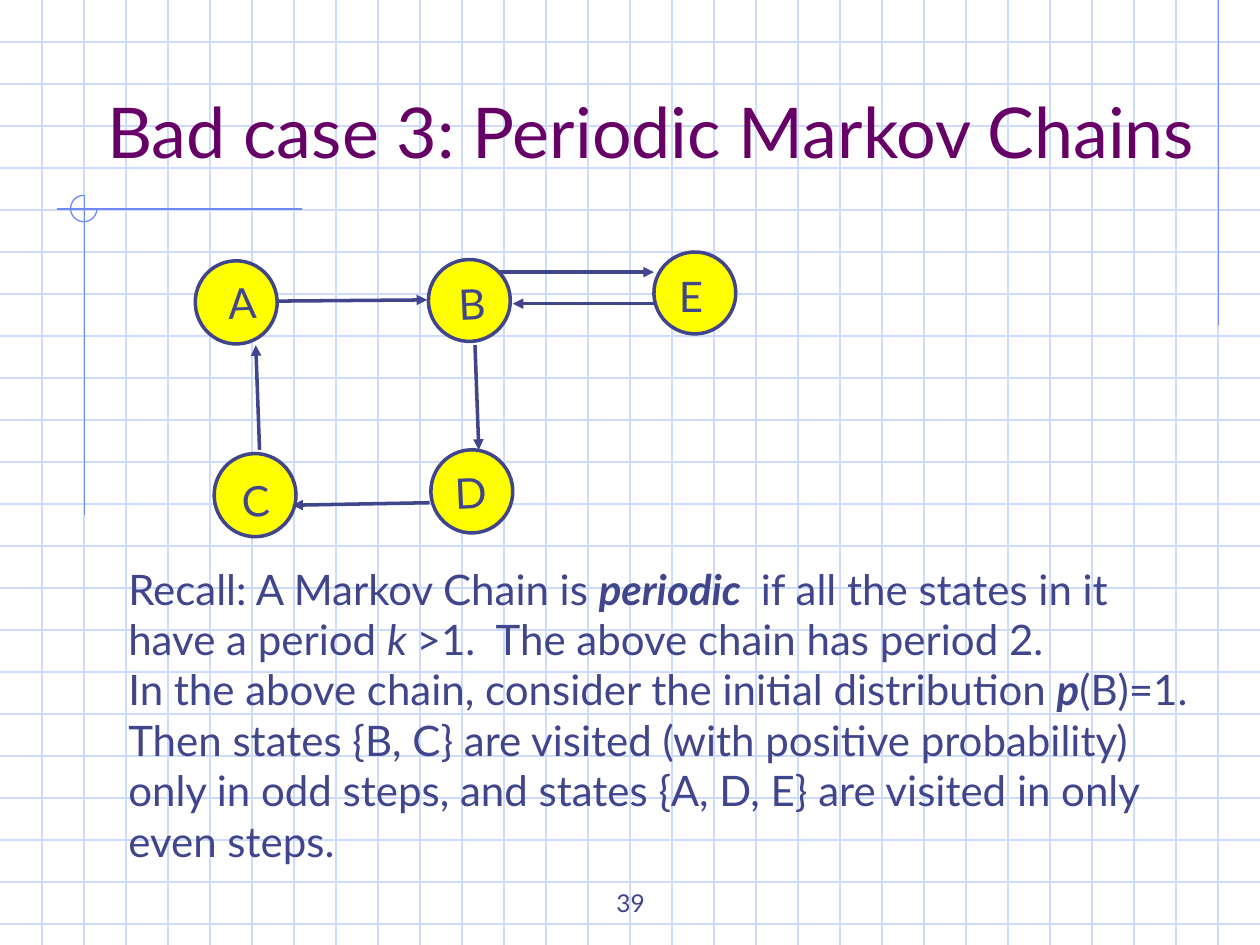
from typing import NamedTuple

from lxml.etree import SubElement
from pptx import Presentation
from pptx.dml.color import RGBColor as Rgb
from pptx.enum.shapes import MSO_CONNECTOR as Conn, MSO_SHAPE as Form
from pptx.enum.text import MSO_ANCHOR as Anchor, MSO_AUTO_SIZE as Fit, PP_ALIGN as Align
from pptx.oxml.ns import qn
from pptx.slide import Slide
from pptx.util import Inches, Pt

COLORS = {"grid": "CFDBFD", "trim": "6F89F7", "ink": "40458C",
          "title": "660066", "node": "FFFF00"}
FONT = "Lato"
WIDTH, HEIGHT = 10, 7.5
STEP = 1 / 3
TILT = -2.5


class Node(NamedTuple):
    name: str
    left: float
    top: float
    tall: float
    text_x: float
    text_y: float
    turn: float = TILT


class Line(NamedTuple):
    x1: float
    y1: float
    x2: float
    y2: float


class Run(NamedTuple):
    text: str
    bold: bool = False
    italic: bool = False


NODES = [
    Node("A", 1.55, 2.07, 0.66, 1.71, 2.15),
    Node("B", 3.4, 2.06, 0.65, 3.54, 2.16),
    Node("C", 1.7, 3.6, 0.66, 1.82, 3.72),
    Node("D", 3.42, 3.57, 0.66, 3.51, 3.66),
    Node("E", 5.19, 2, 0.65, 5.29, 2.1, 0),
]
ARROWS = [
    Line(3.41, 3.99, 2.32, 4.01),
    Line(2.06, 3.57, 2.03, 2.74),
    Line(3.77, 2.74, 3.8, 3.57),
    Line(2.19, 2.39, 3.39, 2.38),
    Line(3.96, 2.16, 5.19, 2.16),
    Line(5.19, 2.41, 4.07, 2.41),
]
TRIM = [
    Line(9.67, 0, 9.67, 2.58),
    Line(2.4, 1.66, 0.45, 1.66),
    Line(0.67, 1.55, 0.67, 4.09),
]
BODY = [
    [Run("Recall: A Markov Chain is "), Run("periodic ", True, True),
     Run(" if all the states in it have a period "), Run("k ", italic=True),
     Run(">1.  The above chain has period 2.")],
    [Run("In the above chain, consider the initial distribution "),
     Run("p", True, True), Run("(B)=1.")],
    [Run("Then states {B, C} are visited (with positive probability) only in odd "
         "steps, and states {A, D, E} are visited in only even steps.")],
]


def paint(font, size: float, color: str, bold: bool = False, italic: bool = False) -> None:
    values = {"name": FONT, "size": Pt(size), "bold": bold, "italic": italic}
    for key, value in values.items():
        setattr(font, key, value)
    font.color.rgb = Rgb.from_string(COLORS[color])


def stroke(shape, color: str, width: float) -> None:
    shape.line.color.rgb = Rgb.from_string(COLORS[color])
    shape.line.width = Pt(width)


def draw_line(slide: Slide, line: Line, color: str, width: float = 0.75,
              arrow: bool = False) -> None:
    ends = [Inches(value) for value in line]
    link = slide.shapes.add_connector(Conn.STRAIGHT, *ends)
    stroke(link, color, width)
    if arrow:
        SubElement(link.line._get_or_add_ln(), qn("a:tailEnd"), type="triangle")
    SubElement(link._element.spPr, qn("a:effectLst"))


def draw_form(slide: Slide, form: Form, left: float, top: float, wide: float, tall: float):
    shape = slide.shapes.add_shape(form, Inches(left), Inches(top), Inches(wide), Inches(tall))
    shape.shadow.inherit = False
    return shape


def add_text(slide: Slide, left: float, top: float, wide: float, tall: float,
             paras: list[list[Run]], size: float = 24, wrap: bool = True):
    box = slide.shapes.add_textbox(Inches(left), Inches(top), Inches(wide), Inches(tall))
    frame = box.text_frame
    frame.word_wrap = wrap
    for i, runs in enumerate(paras):
        para = frame.add_paragraph() if i else frame.paragraphs[0]
        for item in runs:
            run = para.add_run()
            run.text = item.text
            paint(run.font, size, "ink", item.bold, item.italic)
    return box


def draw_node(slide: Slide, node: Node) -> None:
    disc = draw_form(slide, Form.OVAL, node.left, node.top, 0.65, node.tall)
    disc.rotation = TILT
    disc.fill.solid()
    disc.fill.fore_color.rgb = Rgb.from_string(COLORS["node"])
    stroke(disc, "ink", 2)
    label = add_text(slide, node.text_x, node.text_y, 0.41, 0.5,
                     [[Run(node.name)]], wrap=False)
    label.rotation = node.turn


def draw_back(slide: Slide) -> None:
    # Grid paper
    for i in range(1, 23):
        draw_line(slide, Line(0, i * STEP, WIDTH, i * STEP), "grid")
    for i in range(1, 30):
        draw_line(slide, Line(i * STEP, 0, i * STEP, HEIGHT), "grid")
    # Trim lines and three-quarter ring
    for line in TRIM:
        draw_line(slide, line, "trim")
    ring = draw_form(slide, Form.ARC, 0.56, 1.55, 0.21, 0.21)
    ring.adjustments[0] = 0
    ring.adjustments[1] = 162  # 270 degrees
    ring.fill.background()
    stroke(ring, "trim", 0.75)


def set_title(slide: Slide, text: str) -> None:
    title = slide.shapes.title
    slide.shapes._spTree.append(title._element)  # bring in front of the grid
    place = {"left": 0.75, "top": 0.17, "width": 9.33, "height": 1.25}
    for key, value in place.items():
        setattr(title, key, Inches(value))
    frame = title.text_frame
    frame.text = text
    look = {"vertical_anchor": Anchor.BOTTOM, "auto_size": Fit.NONE, "word_wrap": True}
    for key, value in look.items():
        setattr(frame, key, value)
    para = frame.paragraphs[0]
    para.alignment = Align.LEFT
    paint(para.runs[0].font, 40, "title")


def main() -> None:
    deck = Presentation()
    deck.slide_width, deck.slide_height = Inches(WIDTH), Inches(HEIGHT)
    slide = deck.slides.add_slide(deck.slide_layouts[5])
    draw_back(slide)

    # Page number and title
    page = add_text(slide, 3.42, 6.83, 3.17, 0.5, [[Run("39")]], size=14)
    page.text_frame.vertical_anchor = Anchor.BOTTOM
    page.text_frame.paragraphs[0].alignment = Align.CENTER
    set_title(slide, "Bad case 3: Periodic Markov Chains")

    # Markov chain
    for node in NODES:
        draw_node(slide, node)
    for line in ARROWS:
        draw_line(slide, line, "ink", 2, arrow=True)

    # Explanation
    add_text(slide, 0.92, 4.42, 8.71, 2.9, BODY)
    deck.save("out.pptx")


if __name__ == "__main__":
    main()
